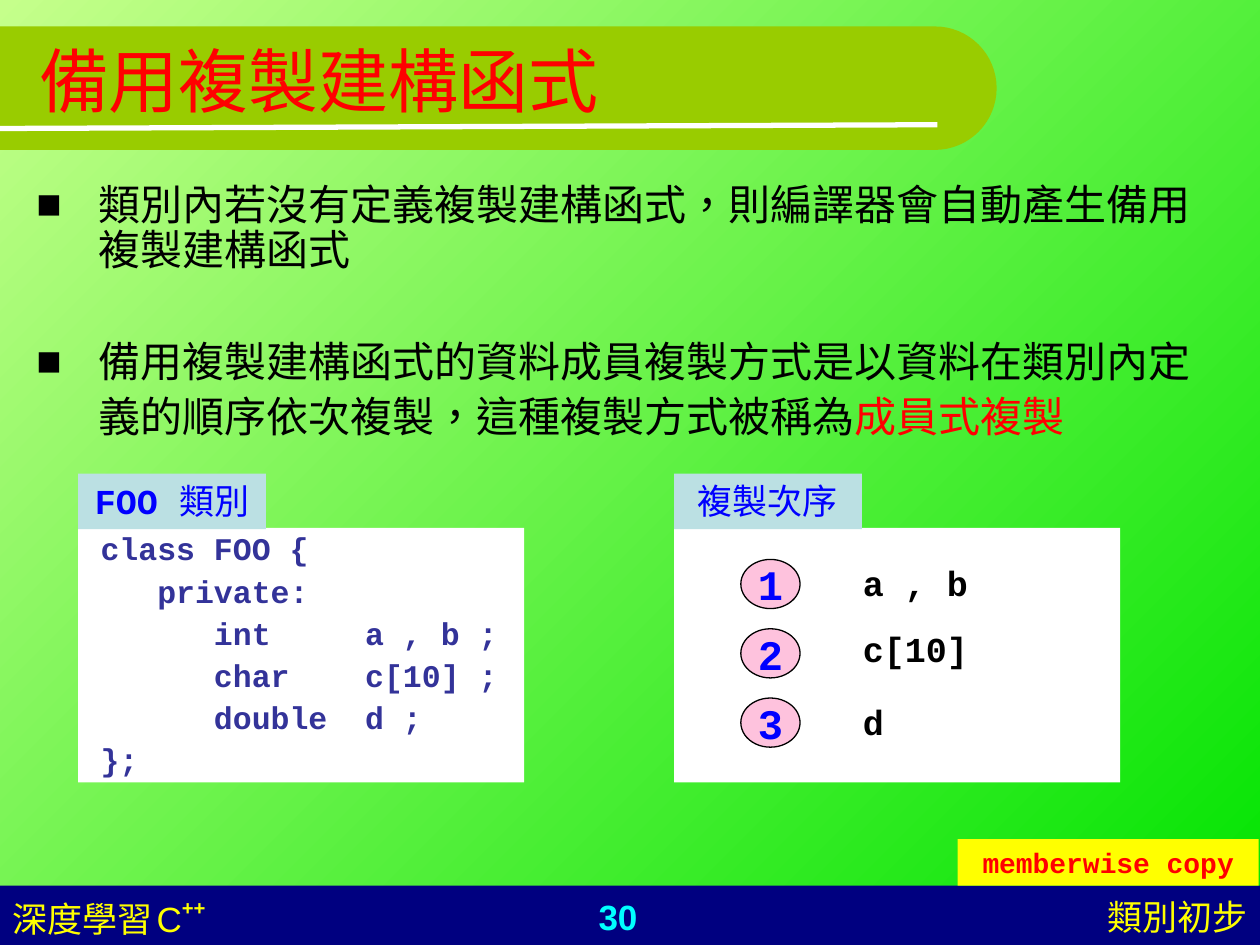
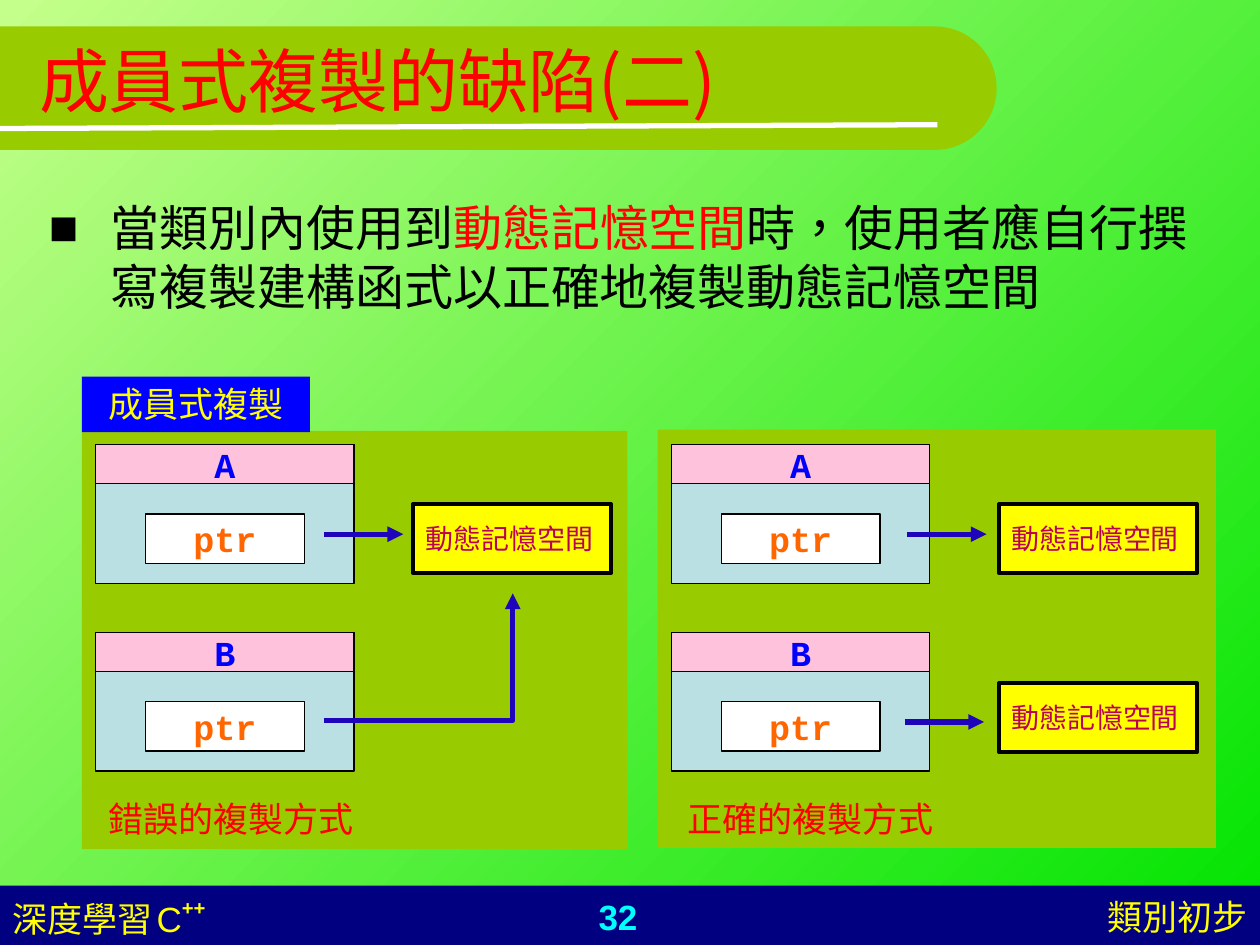
import math
from dataclasses import dataclass
from typing import NamedTuple

import lxml.etree
import pptx
import pptx.dml.color
import pptx.enum.shapes
import pptx.enum.text
import pptx.oxml.ns
import pptx.util

# Shared grid: 100 columns by 75 rows, each a tenth of an inch
COLUMNS, ROWS = 100, 75
WIDTH, HEIGHT = pptx.util.Inches(10), pptx.util.Inches(7.5)

# Shared colours and fonts
OLIVE, NAVY, YELLOW, CYAN = "99CC00", "000080", "FFFF00", "00FFFF"
RED, BLUE, PINK, PALE = "FF0000", "0000FF", "FEC2DD", "BBE0E3"
BLACK, WHITE, INDIGO = "000000", "FFFFFF", "333399"
ORANGE, PLUM, VIOLET = "FF6600", "BB0356", "1E04BA"
SANS, MONO, CJK = "Arial", "Courier New", "Noto Sans CJK SC"

SHAPES = pptx.enum.shapes.MSO_SHAPE
LINES = pptx.enum.shapes.MSO_CONNECTOR
ALIGN = pptx.enum.text.PP_ALIGN
ANCHOR = pptx.enum.text.MSO_ANCHOR


class Area(NamedTuple):
    left: float
    top: float
    width: float
    height: float


class Point(NamedTuple):
    column: float
    row: float


class Span(NamedTuple):
    text: str
    color: str | None = None
    size: float | None = None
    bold: bool | None = None
    raised: bool = False


@dataclass(frozen=True)
class Bullet:
    spans: tuple[Span, ...]
    spacing: float = 1.0
    before: float = 0


@dataclass(frozen=True)
class CopyStep:
    number: str
    members: str
    text_top: float


@dataclass(frozen=True)
class CopyPanel:
    area: Area
    object_left: float
    memory_left: float
    memory_tops: tuple[float, ...]
    arrows: tuple[tuple[Point, Point], ...]
    caption: str
    caption_left: float


def across(columns: float) -> int:
    return round(WIDTH * columns / COLUMNS)


def down(rows: float) -> int:
    return round(HEIGHT * rows / ROWS)


def emu(area: Area) -> tuple[int, int, int, int]:
    return across(area.left), down(area.top), across(area.width), down(area.height)


def rgb(value: str) -> pptx.dml.color.RGBColor:
    return pptx.dml.color.RGBColor.from_string(value)


def add_xml(parent, tag: str, **attributes: str):
    element = lxml.etree.SubElement(parent, pptx.oxml.ns.qn(tag))
    for name, value in attributes.items():
        element.set(name, value)
    return element


# Text
def write_spans(para, spans, *, size: float, color: str = BLACK, font: str = SANS,
                bold: bool = False) -> None:
    for part in spans:
        span = para.add_run()
        span.text = part.text
        span.font.size = pptx.util.Pt(part.size or size)
        span.font.bold = bold if part.bold is None else part.bold
        span.font.color.rgb = rgb(part.color or color)
        span.font.name = font
        properties = span._r.get_or_add_rPr()
        properties.set("lang", "zh-TW")
        add_xml(properties, "a:ea", typeface=font)
        if part.raised:
            properties.set("baseline", "46000")


def write(box, *lines, align=ALIGN.LEFT, anchor=ANCHOR.TOP, wrap: bool = True,
          pitch: float | None = None, **style) -> None:
    """Each line is a string or a tuple of spans."""
    frame = box.text_frame
    frame.word_wrap = wrap
    frame.vertical_anchor = anchor
    for index, line in enumerate(lines):
        para = frame.add_paragraph() if index else frame.paragraphs[0]
        para.alignment = align
        if pitch:
            para.line_spacing = pptx.util.Pt(pitch)
        write_spans(para, (Span(line),) if isinstance(line, str) else line, **style)


def add_text(page, area: Area, *lines, **style) -> None:
    write(page.shapes.add_textbox(*emu(area)), *lines, **style)


def add_bullets(page, area: Area, bullets: tuple[Bullet, ...], size: float) -> None:
    frame = page.shapes.add_textbox(*emu(area)).text_frame
    frame.word_wrap = True
    for index, bullet in enumerate(bullets):
        para = frame.add_paragraph() if index else frame.paragraphs[0]
        properties = para._p.get_or_add_pPr()
        properties.set("marL", str(across(4.9)))
        properties.set("indent", str(-across(4.9)))
        add_xml(add_xml(properties, "a:buClr"), "a:srgbClr", val=BLACK)
        add_xml(properties, "a:buFont", typeface=SANS)
        add_xml(properties, "a:buChar", char="■")
        para.line_spacing = bullet.spacing
        if index:
            para.space_before = pptx.util.Pt(bullet.before)
        write_spans(para, bullet.spans, size=size)


# Shapes and lines
def paint(shape, fill: str, line: str | None = None, weight: float = 0.75):
    shape.shadow.inherit = False
    shape.fill.solid()
    shape.fill.fore_color.rgb = rgb(fill)
    if line:
        shape.line.color.rgb = rgb(line)
        shape.line.width = pptx.util.Pt(weight)
    else:
        shape.line.fill.background()
    return shape


def add_box(page, area: Area, fill: str, kind=SHAPES.RECTANGLE, **outline):
    return paint(page.shapes.add_shape(kind, *emu(area)), fill, **outline)


def add_label(page, area: Area, line, fill: str, **style) -> None:
    write(add_box(page, area, fill), line, align=ALIGN.CENTER, font=MONO, **style)


def add_node(page, area: Area, text: str, fill: str, color: str, size: float = 20,
             kind=SHAPES.RECTANGLE, weight: float = 0.75, align=ALIGN.CENTER,
             bold: bool = True) -> None:
    node = add_box(page, area, fill, kind, line=BLACK, weight=weight)
    write(node, text, align=align, anchor=ANCHOR.MIDDLE, wrap=False,
          size=size, color=color, font=MONO, bold=bold)


def add_line(page, start: Point, end: Point, color: str, arrow: bool = False) -> None:
    bent = arrow and abs(start.row - end.row) > 1
    line = page.shapes.add_connector(
        LINES.ELBOW if bent else LINES.STRAIGHT,
        across(start.column), down(start.row), across(end.column), down(end.row))
    line.line.color.rgb = rgb(color)
    line.line.width = pptx.util.Pt(3)
    properties = line._element.spPr
    if bent:
        properties.find(pptx.oxml.ns.qn("a:prstGeom")).set("prst", "bentConnector2")
    if arrow:
        add_xml(line.line._get_or_add_ln(), "a:tailEnd", type="triangle")
    add_xml(properties, "a:effectLst")


# Frame shared by the slides
def add_band(page) -> None:
    center, radius, steps = Point(74.2, 7), 4.9, 32
    angles = [math.pi * (step / steps - 0.5) for step in range(steps + 1)]
    arc = [(across(center.column + radius * math.cos(angle)),
            down(center.row + radius * math.sin(angle))) for angle in angles]
    outline = page.shapes.build_freeform(0, down(center.row - radius))
    outline.add_line_segments(arc + [(0, down(center.row + radius))], close=True)
    paint(outline.convert_to_shape(), OLIVE)
    add_line(page, Point(0, 10.2), Point(74.4, 9.9), WHITE)


def add_page(deck, title: str, number: int, title_font: str = SANS):
    page = deck.slides.add_slide(deck.slide_layouts[5])
    add_box(page, Area(0, 70.3, 100, 4.7), NAVY)
    add_text(page, Area(37.4, 70.6, 23.3, 4.4), str(number), align=ALIGN.CENTER,
             size=20, color=CYAN, bold=True)
    add_text(page, Area(67.3, 70.6, 32.7, 4.4), "類別初步", align=ALIGN.RIGHT,
             size=20, color=YELLOW)
    course = (Span("深度學習"), Span(" ", size=8), Span("C"),
              Span("++", bold=True, raised=True))
    add_text(page, Area(0, 70.6, 23.3, 4.4), course, size=20, color=YELLOW)
    add_band(page)
    heading = page.shapes.title
    heading.left, heading.top, heading.width, heading.height = emu(Area(2.1, 0.6, 90, 11.5))
    write(heading, title, anchor=ANCHOR.MIDDLE, size=40, color=RED, font=title_font)
    page.shapes._spTree.append(heading._element)
    return page


# Slide: default copy constructor
def build_default_copy(deck) -> None:
    page = add_page(deck, "備用複製建構函式", 30)
    add_bullets(page, Area(1.9, 14.1, 95, 22), (
        Bullet((Span("類別內若沒有定義複製建構函式，則編譯器會自動產生備用複製建構函式"),), 0.9),
        Bullet((Span("備用複製建構函式的資料成員複製方式是以資料在類別內定義的順序依次複製，"
                     "這種複製方式被稱為"), Span("成員式複製", RED)), 1.1, 32),
    ), size=24)

    labels = ((Span("FOO ", bold=True), Span("類別")), "複製次序")
    panels = [Area(left, 41.9, 35.4, 20.2) for left in (6.2, 53.5)]
    for panel, label in zip(panels, labels):
        add_box(page, panel, WHITE)
        add_label(page, Area(panel.left, 37.6, 14.9, 4.4), label, PALE, size=20, color=BLUE)

    add_text(page, Area(7, 41.2, 34.6, 21), "class FOO {", "   private:",
             "      int     a , b ;", "      char    c[10] ;", "      double  d ;", "};",
             pitch=24, size=18, color=INDIGO, font=MONO, bold=True)

    steps = (CopyStep("1", "a , b", 44.1), CopyStep("2", "c[10]", 49.3),
             CopyStep("3", "d", 55.1))
    for index, step in enumerate(steps):
        add_node(page, Area(58.8, 44.4 + 5.5 * index, 4.7, 3.9), step.number, PINK, BLUE,
                 size=24, kind=SHAPES.OVAL)
        add_text(page, Area(67.5, step.text_top, 18, 4.4), step.members,
                 size=20, font=MONO, bold=True)
    add_label(page, Area(76, 66.6, 23.9, 3.7), "memberwise copy", YELLOW,
              size=16, color=RED, bold=True)


# Slide: flaw of memberwise copy
def add_object(page, left: float, top: float, name: str) -> None:
    add_box(page, Area(left, top, 20.5, 11), PALE, line=BLACK)
    add_node(page, Area(left, top, 20.5, 3.1), name, PINK, BLUE)
    add_node(page, Area(left + 3.95, top + 5.5, 12.6, 3.9), "ptr", WHITE, ORANGE)


def add_copy_panel(page, panel: CopyPanel) -> None:
    add_box(page, panel.area, OLIVE)
    for index, name in enumerate("AB"):
        add_object(page, panel.object_left, 35.3 + 14.9 * index, name)
    for top in panel.memory_tops:
        add_node(page, Area(panel.memory_left, top, 15.7, 5.5), "動態記憶空間", YELLOW, PLUM,
                 size=16, weight=2.25, align=ALIGN.LEFT, bold=False)
    for start, end in panel.arrows:
        add_line(page, start, end, VIOLET, arrow=True)
    add_text(page, Area(panel.caption_left, 62.8, 25, 4.4), panel.caption,
             size=20, color=RED, font=MONO)


def build_copy_flaw(deck) -> None:
    page = add_page(deck, "成員式複製的缺陷(二)", 32, CJK)
    add_bullets(page, Area(2.9, 15.2, 94.5, 11.3), (Bullet((
        Span("當類別內使用到"), Span("動態記憶空間", RED),
        Span("時，使用者應自行撰寫複製建構函式以正確地複製動態記憶空間"))),), size=28)
    panels = (
        CopyPanel(Area(6.5, 34.2, 43.3, 33.2), 7.6, 32.8, (40,),
                  ((Point(25.7, 42.4), Point(32, 42.4)),
                   (Point(25.7, 57.2), Point(40.7, 47.1))), "錯誤的複製方式", 7.6),
        CopyPanel(Area(52.2, 34.1, 44.3, 33.2), 53.3, 79.3, (40, 54.2),
                  ((Point(72, 42.4), Point(78.3, 42.4)),
                   (Point(71.8, 57.3), Point(78.1, 57.3))), "正確的複製方式", 53.6),
    )
    for panel in panels:
        add_copy_panel(page, panel)
    add_label(page, Area(6.5, 29.9, 18.1, 4.4), "成員式複製", BLUE, size=20, color=YELLOW)


def main() -> None:
    deck = pptx.Presentation()
    deck.slide_width, deck.slide_height = WIDTH, HEIGHT
    backdrop = deck.slide_master.background.fill
    backdrop.gradient()
    backdrop.gradient_angle = 315
    for stop, color in zip(backdrop.gradient_stops, ("C5FF8B", "00E400")):
        stop.color.rgb = rgb(color)
    build_default_copy(deck)
    build_copy_flaw(deck)
    deck.save("out.pptx")


if __name__ == "__main__":
    main()
